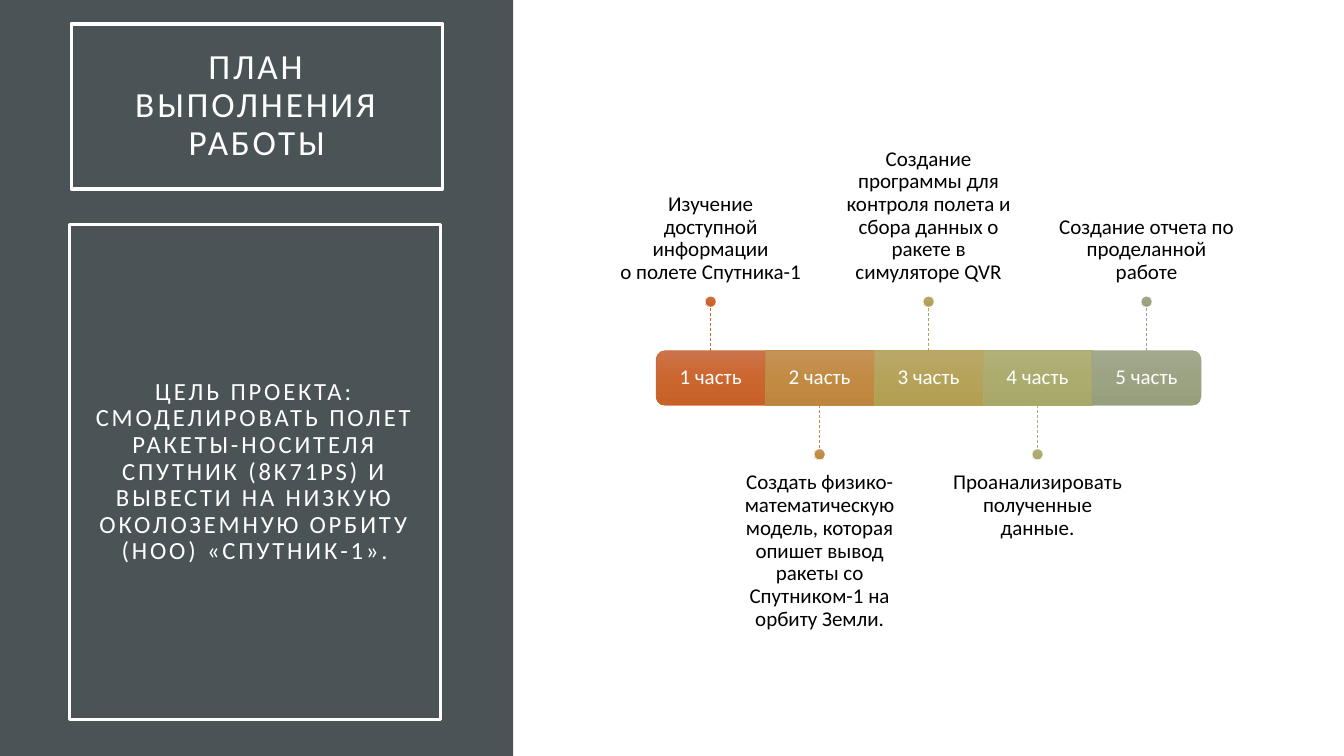
import pptx
import pptx.util
import pptx.dml.color
import pptx.enum.dml
import pptx.enum.shapes
import pptx.enum.text
import pptx.oxml
import pptx.oxml.ns
import lxml.etree

Pt = pptx.util.Pt
KIND = pptx.enum.shapes.MSO_SHAPE
ANCHOR = pptx.enum.text.MSO_ANCHOR
CENTER = pptx.enum.text.PP_ALIGN.CENTER
QN = pptx.oxml.ns.qn

COLORS = {"panel": "4A5356", "white": "FFFFFF", "black": "000000"}
TITLE = "ПЛАН ВЫПОЛНЕНИЯ РАБОТЫ"
GOAL = (
    "ЦЕЛЬ ПРОЕКТА: СМОДЕЛИРОВАТЬ ПОЛЕТ РАКЕТЫ-НОСИТЕЛЯ СПУТНИК (8K71PS) "
    "И ВЫВЕСТИ НА НИЗКУЮ ОКОЛОЗЕМНУЮ ОРБИТУ (НОО) «СПУТНИК-1»."
)
STEPS = [
    ("Изучение доступной информации\nо полете Спутника-1",
     "C96731", ("CC734B", "CB662F", "C86128")),
    ("Создать физико-математическую модель, которая опишет вывод ракеты "
     "со Спутником-1 на орбиту Земли.",
     "C08B45", ("C49358", "C28B43", "BE863C")),
    ("Создание программы для контроля полета и сбора данных о ракете "
     "в симуляторе QVR",
     "B5A25B", ("BAA86A", "B6A35A", "B39E52")),
    ("Проанализировать полученные данные.",
     "ABAB70", ("B1B17B", "ACAC6F", "A8A868")),
    ("Создание отчета по проделанной работе",
     "9CA383", ("A3A98C", "9CA383", "979E7C")),
]


def apply(item, values):
    for name, value in values.items():
        setattr(item, name, value)


def rgb(color):
    return pptx.dml.color.RGBColor.from_string(color)


def place(item, box):
    apply(item, dict(zip(("left", "top", "width", "height"), map(Pt, box))))


def outline(item, color, width):
    item.line.color.rgb = rgb(color)
    item.line.width = Pt(width)


def write(item, text, size, color, anchor, insets, gap=0):
    frame = item.text_frame
    sides = ("margin_left", "margin_top", "margin_right", "margin_bottom")
    apply(frame, dict(zip(sides, map(Pt, insets))))
    apply(frame, {
        "word_wrap": True,
        "auto_size": pptx.enum.text.MSO_AUTO_SIZE.NONE,
        "vertical_anchor": anchor,
    })
    line = frame.paragraphs[0]
    line.text = text
    apply(line, {"alignment": CENTER, "line_spacing": 0.9,
                 "space_before": Pt(0)})
    for run in line.runs:
        apply(run.font, {"name": "Calibri", "size": Pt(size), "bold": False})
        run.font.color.rgb = rgb(COLORS[color])
        if gap:
            run.font._element.set("spc", str(gap * 100))


def add_shape(slide, kind, box):
    shape = slide.shapes.add_shape(kind, *map(Pt, box))
    shape.shadow.inherit = False
    return shape


def add_text(slide, box, *style):
    write(slide.shapes.add_textbox(*map(Pt, box)), *style)


def shade(shape, stops):
    shape.fill.gradient()
    shape.fill.gradient_angle = 270
    grad = shape._element.spPr.find(QN("a:gradFill"))
    grad.set("rotWithShape", "0")
    group = grad.find(QN("a:gsLst"))
    for old in list(group):
        group.remove(old)
    for spot, color in zip((0, 50000, 100000), stops):
        stop = lxml.etree.SubElement(group, QN("a:gs"), pos=str(spot))
        lxml.etree.SubElement(stop, QN("a:srgbClr"), val=color)


def add_stem(slide, x, start, end, color):
    stem = slide.shapes.add_connector(
        pptx.enum.shapes.MSO_CONNECTOR.STRAIGHT,
        *map(Pt, (x, start, x, end)))
    outline(stem, color, 0.5)
    stem.line.dash_style = pptx.enum.dml.MSO_LINE.DASH
    lxml.etree.SubElement(stem._element.spPr, QN("a:effectLst"))


def add_panel(slide, box):
    left, top, width, height = box
    panel = add_shape(slide, KIND.RECTANGLE, box)
    panel.fill.solid()
    panel.fill.fore_color.rgb = rgb(COLORS["panel"])
    panel.line.fill.background()
    slide.shapes._spTree.insert(2, panel._element)

    title = slide.shapes.title
    place(title, (left + 51, top + 17, 265, 118))
    goal = add_shape(slide, KIND.RECTANGLE,
                     (left + 49.5, top + 160.5, 265, 353.5))
    for item, text, size in ((title, TITLE, 25.2), (goal, GOAL, 17.6)):
        item.fill.background()
        outline(item, COLORS["white"], 2.5)
        write(item, text, size, "white", ANCHOR.MIDDLE, (14.4,) * 4, 2)


def add_bar(slide, box, turn, color, stops):
    left, top, width, height = box
    if turn:
        tall = (left + (width - height) / 2, top + (height - width) / 2,
                height, width)
        bar = add_shape(slide, KIND.ROUND_2_SAME_RECTANGLE, tall)
        bar.rotation = turn
    else:
        bar = add_shape(slide, KIND.RECTANGLE, box)
    shade(bar, stops)
    outline(bar, color, 0.5)


def add_steps(slide, box):
    left, top, width, height = box
    step = width / len(STEPS)
    thick, reach, dot, wide, tall = 39, 31, 8, 129.6, 136
    high = top + (height - thick) / 2
    low = high + thick
    turns = {0: 270, len(STEPS) - 1: 90}
    for index, (text, color, stops) in enumerate(STEPS):
        x = left + index * step
        mid = x + step / 2
        cell = (x, high, step, thick)
        add_bar(slide, cell, turns.get(index, 0), color, stops)
        add_text(slide, cell, f"{index + 1} часть", 15, "white",
                 ANCHOR.MIDDLE, (8.4,) * 4)
        if index % 2:
            edge, end, spot = low, low + reach, low + reach
            label, anchor = top + height - tall, ANCHOR.TOP
            insets = (0, 9, 0, 0)
        else:
            edge, end, spot = high, high - reach, high - reach - dot
            label, anchor = top, ANCHOR.BOTTOM
            insets = (0, 0, 0, 9)
        add_text(slide, (mid - wide / 2, label, wide, tall), text, 15,
                 "black", anchor, insets)
        add_stem(slide, mid, edge, end, color)
        knob = add_shape(slide, KIND.OVAL, (mid - dot / 2, spot, dot, dot))
        shade(knob, stops)
        outline(knob, COLORS["white"], 0.5)


def main():
    deck = pptx.Presentation()
    apply(deck, {"slide_width": Pt(960), "slide_height": Pt(540)})
    slide = deck.slides.add_slide(deck.slide_layouts[5])
    add_panel(slide, (0, 0, 366.5, 540))
    add_steps(slide, (468.7, 76, 389.2, 388))
    deck.save("out.pptx")


if __name__ == "__main__":
    main()
